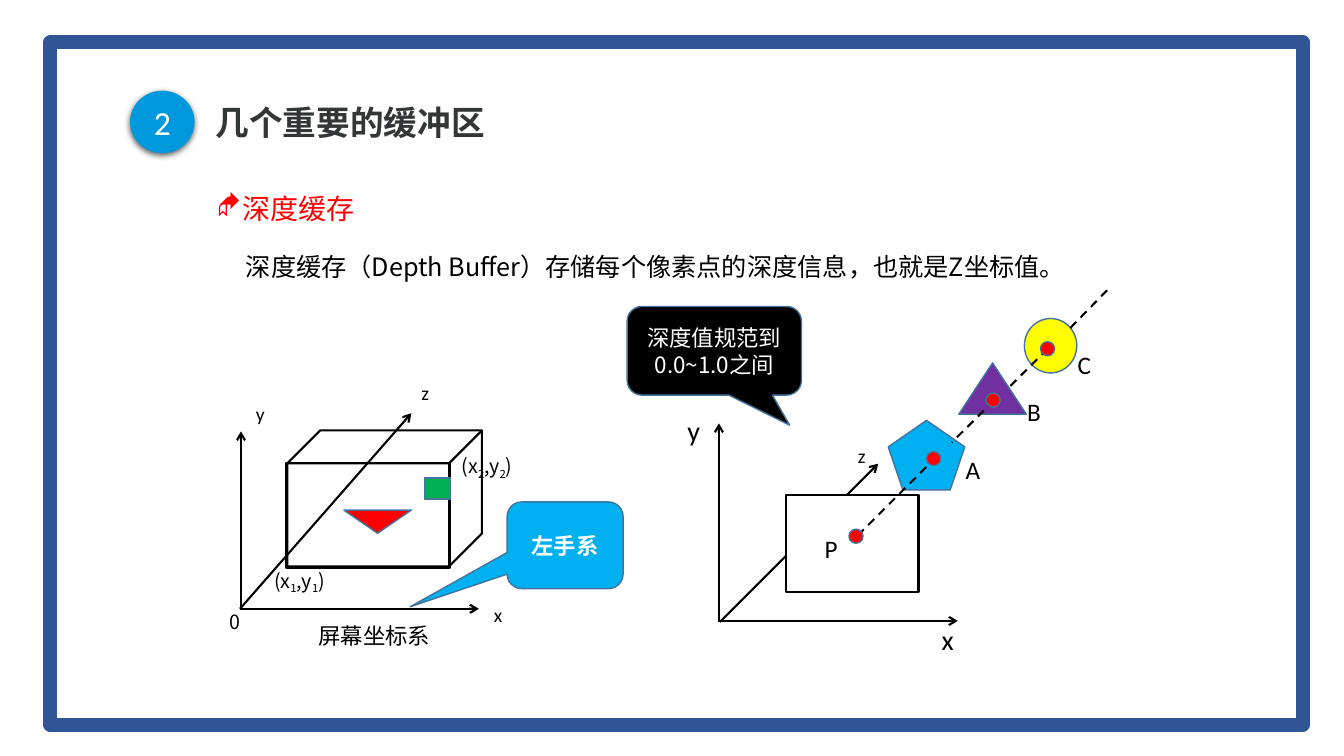
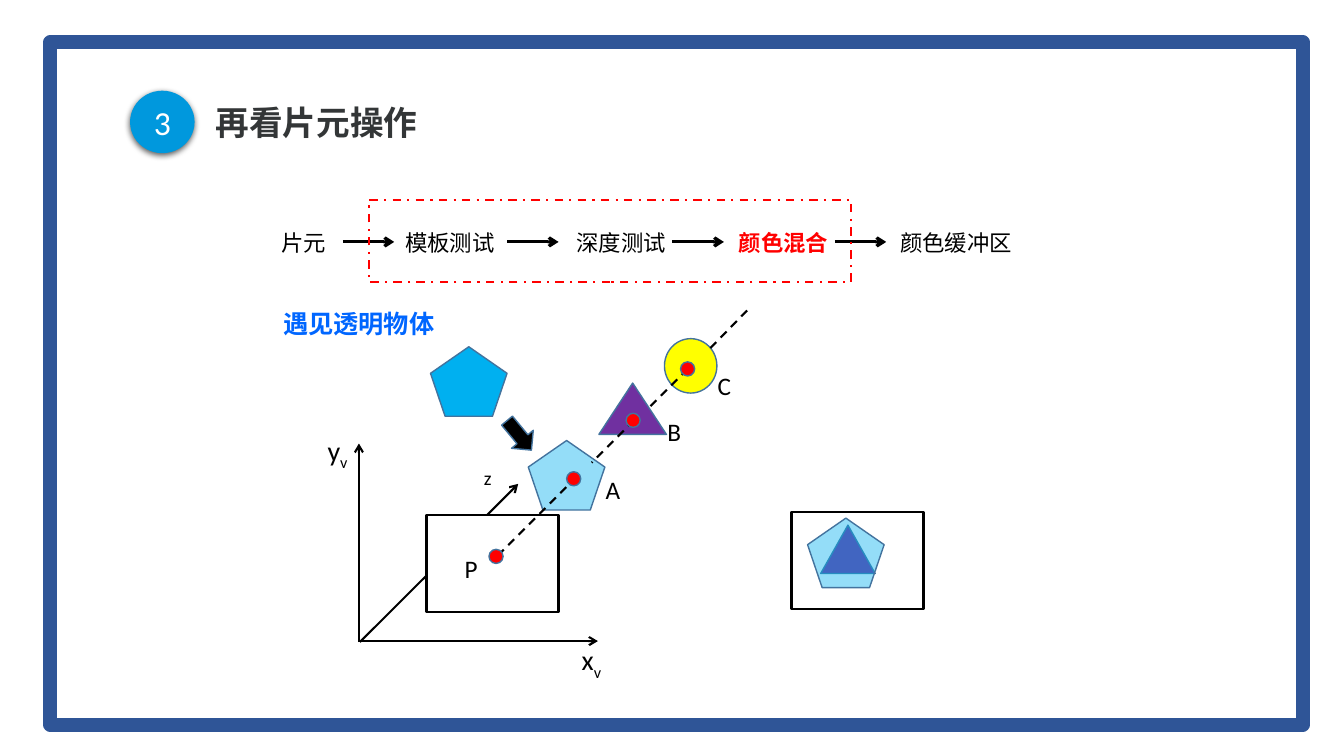
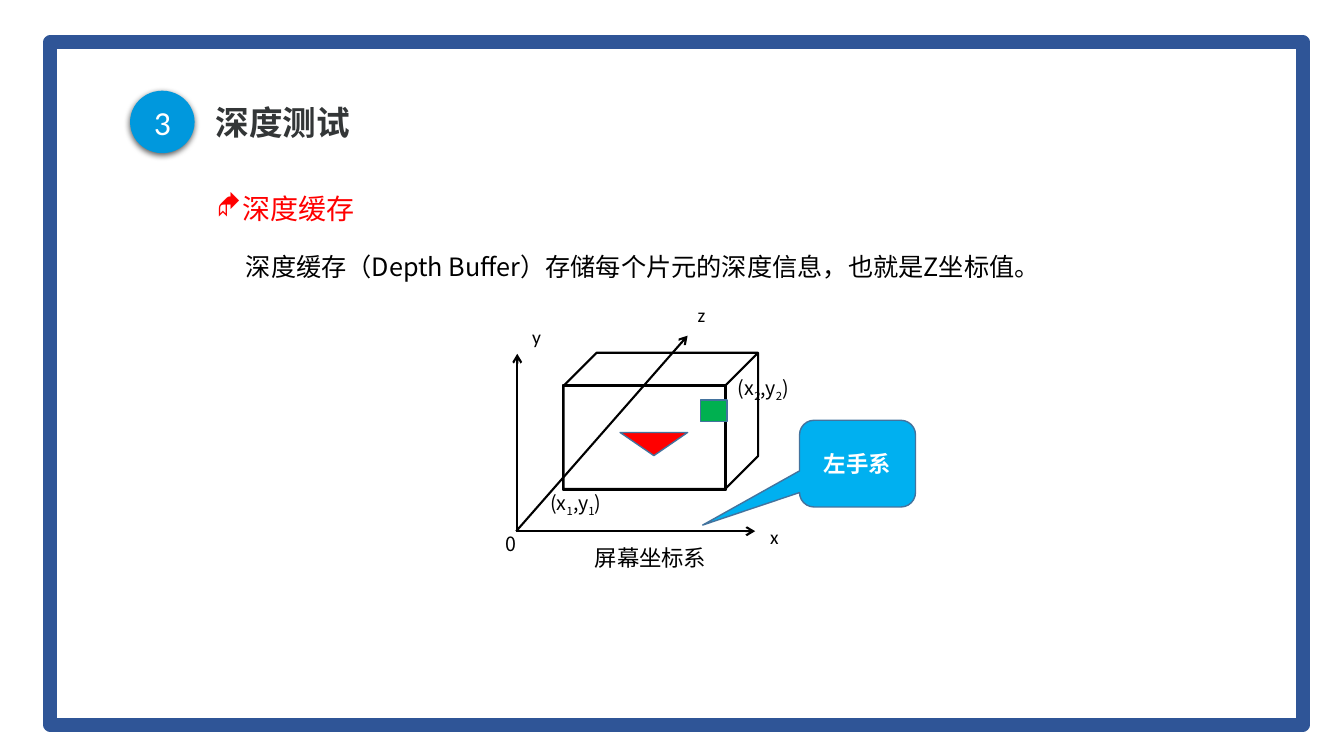
from dataclasses import dataclass
from typing import Any

from lxml import etree
from pptx import Presentation
from pptx.dml.color import RGBColor
from pptx.enum.dml import MSO_LINE
from pptx.enum.shapes import MSO_CONNECTOR, MSO_SHAPE
from pptx.enum.text import MSO_ANCHOR, MSO_AUTO_SIZE, PP_ALIGN
from pptx.oxml.ns import qn
from pptx.util import Inches, Pt

BLACK = RGBColor(0x00, 0x00, 0x00)
WHITE = RGBColor(0xFF, 0xFF, 0xFF)
RED = RGBColor(0xFF, 0x00, 0x00)
YELLOW = RGBColor(0xFF, 0xFF, 0x00)
PURPLE = RGBColor(0x70, 0x30, 0xA0)
GREEN = RGBColor(0x00, 0xB0, 0x50)
SKY = RGBColor(0x00, 0xB0, 0xF0)
BADGE_BLUE = RGBColor(0x00, 0x98, 0xDD)
NOTE_BLUE = RGBColor(0x00, 0x66, 0xFF)
FRAME_BLUE = RGBColor(0x2F, 0x55, 0x97)
OUTLINE = RGBColor(0x43, 0x73, 0x9E)
TITLE_GREY = RGBColor(0x33, 0x36, 0x37)

CHINESE = "Noto Sans CJK SC"
LATIN = "Calibri"

RECTANGLE = MSO_SHAPE.RECTANGLE
OVAL = MSO_SHAPE.OVAL
PENTAGON = MSO_SHAPE.REGULAR_PENTAGON
TRIANGLE = MSO_SHAPE.ISOSCELES_TRIANGLE
CUBE = MSO_SHAPE.CUBE
CALLOUT = MSO_SHAPE.ROUNDED_RECTANGULAR_CALLOUT
RIGHT_ARROW = MSO_SHAPE.RIGHT_ARROW
STRAIGHT = MSO_CONNECTOR.STRAIGHT
DASH = MSO_LINE.DASH
DASH_DOT = MSO_LINE.DASH_DOT
LEFT = PP_ALIGN.LEFT
CENTER = PP_ALIGN.CENTER
TOP = MSO_ANCHOR.TOP
MIDDLE = MSO_ANCHOR.MIDDLE
NO_FIT = MSO_AUTO_SIZE.NONE
GROW = MSO_AUTO_SIZE.SHAPE_TO_FIT_TEXT

TRANSLUCENT = 42


def add_element(parent, tag, **attributes):
    element = etree.SubElement(parent, qn(tag))
    for name, value in attributes.items():
        element.set(name, str(value))
    return element


def write_text(frame, text, size=16, font=CHINESE, color=BLACK, bold=False,
               align=LEFT, anchor=TOP, wrap=True, fit=NO_FIT, spacing=None, bullet=None):
    frame.word_wrap = wrap
    frame.auto_size = fit
    frame.vertical_anchor = anchor
    paragraph = frame.paragraphs[0]
    paragraph.alignment = align
    if spacing:
        paragraph.line_spacing = spacing
    if bullet:
        properties = paragraph._p.get_or_add_pPr()
        properties.set("marL", str(Inches(0.25)))
        properties.set("indent", str(-Inches(0.25)))
        add_element(properties, "a:buFont", typeface="Wingdings")
        add_element(properties, "a:buChar", char=bullet)
    plain, *marked = text.split("_")
    pieces = [(plain, False)]
    for part in marked:
        pieces += [(part[0], True), (part[1:], False)]
    for piece, subscript in pieces:
        if not piece:
            continue
        run = paragraph.add_run()
        run.text = piece
        run.font.size = Pt(size)
        run.font.name = font
        run.font.bold = bold
        run.font.color.rgb = color
        properties = run._r.get_or_add_rPr()
        add_element(properties, "a:ea", typeface=font)
        if subscript:
            properties.set("baseline", "-25000")


@dataclass
class Region:
    slide: Any
    left: float = 0
    top: float = 0

    def place(self, x, y):
        return Inches(self.left + x), Inches(self.top + y)

    def shape(self, kind, x, y, width, height, fill=None, line=OUTLINE,
              weight=1, dash=None, alpha=None, adjustments=()):
        shape = self.slide.shapes.add_shape(
            kind, *self.place(x, y), Inches(width), Inches(height))
        shape.shadow.inherit = False
        for index, value in enumerate(adjustments):
            shape.adjustments[index] = value
        if fill is None:
            shape.fill.background()
        else:
            shape.fill.solid()
            shape.fill.fore_color.rgb = fill
        if alpha:
            color = shape.element.spPr.find(qn("a:solidFill"))[0]
            add_element(color, "a:alpha", val=alpha * 1000)
        if line is None:
            shape.line.fill.background()
        else:
            shape.line.color.rgb = line
            shape.line.width = Pt(weight)
            if dash:
                shape.line.dash_style = dash
        return shape

    def line(self, start, end, weight=1.5, dash=None, arrow=False):
        connector = self.slide.shapes.add_connector(
            STRAIGHT, *self.place(*start), *self.place(*end))
        connector.line.color.rgb = BLACK
        connector.line.width = Pt(weight)
        if dash:
            connector.line.dash_style = dash
        properties = connector.element.spPr
        if arrow:
            add_element(properties.find(qn("a:ln")), "a:tailEnd", type="arrow")
        add_element(properties, "a:effectLst")

    def text(self, text, x, y, width, height, wrap=False, fit=GROW, **style):
        box = self.slide.shapes.add_textbox(
            *self.place(x, y), Inches(width), Inches(height))
        write_text(box.text_frame, text, wrap=wrap, fit=fit, **style)

    def callout(self, text, x, y, width, height, fill, adjustments, bold=False):
        shape = self.shape(CALLOUT, x, y, width, height, fill, adjustments=adjustments)
        write_text(shape.text_frame, text, color=WHITE, bold=bold,
                   align=CENTER, anchor=MIDDLE)


def add_frame_to_layout(layout, slide):
    region = Region(slide, 0.5, 0.42)
    panel = region.shape(RECTANGLE, 0.08, 0.08, 12.25, 6.62, WHITE, None, alpha=86)
    border = region.shape(RECTANGLE, 0, 0, 12.42, 6.77, line=FRAME_BLUE, weight=10)
    for shape in (panel, border):
        layout.shapes.element.append(shape.element)


def add_heading(slide, number, text):
    title = slide.shapes.title
    title.left, title.top = Inches(2.04), Inches(0.93)
    title.width, title.height = Inches(8.35), Inches(0.61)
    write_text(title.text_frame, text, size=24, color=TITLE_GREY, bold=True,
               anchor=MIDDLE, spacing=0.9)
    badge = Region(slide, 1.29, 0.9).shape(OVAL, 0, 0, 0.64, 0.62, BADGE_BLUE, None)
    write_text(badge.text_frame, number, size=24, font=LATIN, color=WHITE,
               align=CENTER, anchor=MIDDLE)
    effects = badge.element.spPr.find(qn("a:effectLst"))
    shadow = add_element(effects, "a:outerShdw", blurRad=Pt(4.5), dist=Pt(1.5),
                         dir=90 * 60000, algn="t", rotWithShape=0)
    color = add_element(shadow, "a:srgbClr", val=BLACK)
    add_element(color, "a:alpha", val=63000)


def add_buffer_definition(slide, unit):
    region = Region(slide, 2.05, 1.68)
    region.text("深度缓存", 0, 0, 10.43, 0.69, wrap=True, fit=NO_FIT,
                size=20, color=RED, spacing=1.5, bullet="◆")
    region.text(f"深度缓存（Depth Buffer）存储每个{unit}的深度信息，也就是Z坐标值。",
                0.29, 0.76, 8.97, 0.4, wrap=True, size=18)


def add_screen_coordinates(slide, left, top):
    region = Region(slide, left, top)
    region.line((0.2, 2.31), (1.9, 0.37), arrow=True)
    region.shape(CUBE, 0.67, 0.54, 1.93, 1.35, line=BLACK, weight=1.5,
                 adjustments=[0.242])
    region.shape(RECTANGLE, 0.66, 0.86, 1.62, 1.04, line=BLACK, weight=1.5)
    region.shape(TRIANGLE, 1.23, 1.33, 0.67, 0.23, RED).rotation = 180
    region.shape(RECTANGLE, 2.03, 1.01, 0.26, 0.21, GREEN)
    region.line((0.21, 2.32), (0.21, 0.55), arrow=True)
    region.line((0.21, 2.31), (2.57, 2.31), arrow=True)
    region.text("屏幕坐标系", 0.88, 2.39, 1.32, 0.37)
    for text, x, y in (("(x_1,y_1)", 0.44, 1.86), ("(x_2,y_2)", 2.3, 0.72),
                       ("0", 0, 2.27)):
        region.text(text, x, y, 1.1, 0.34, wrap=True, size=14)
    for text, x, y in (("x", 2.62, 2.2), ("y", 0.26, 0.21), ("z", 1.9, 0)):
        region.text(text, x, y, 0.29, 0.34, size=14, font=LATIN)


def add_left_hand_callout(slide, left, top):
    Region(slide, left, top).callout("左手系", 0, 0, 1.15, 0.86, SKY,
                                     [-1.336, 0.709, 0.167], bold=True)


def add_depth_scene(slide, left, top, x_label, y_label, label_width, z_label_at,
                    pentagon_alpha=None):
    region = Region(slide, left, top)
    region.line((0.42, 3.29), (1.99, 1.72), arrow=True)
    region.shape(RECTANGLE, 1.08, 2.03, 1.31, 0.96, WHITE, BLACK, 1.5)
    region.line((0.41, 3.29), (0.41, 1.32), arrow=True)
    region.line((0.41, 3.28), (2.78, 3.28), arrow=True)
    region.text(y_label, 0, 1.17, label_width, 0.44, size=20, font=LATIN)
    region.text(x_label, 2.52, 3.25, label_width, 0.44, size=20, font=LATIN)
    region.text("z", *z_label_at, 0.28, 0.34, size=14, font=LATIN)
    region.shape(PENTAGON, 2.09, 1.29, 0.76, 0.69, SKY, alpha=pentagon_alpha)
    region.shape(TRIANGLE, 2.79, 0.72, 0.67, 0.51, PURPLE)
    region.shape(OVAL, 3.44, 0.28, 0.52, 0.54, YELLOW)
    for start, end in (((2.57, 1.65), (1.76, 2.46)), ((3.67, 0.58), (3.28, 0.97)),
                       ((3.14, 1.09), (2.72, 1.51)), ((4.26, 0), (3.88, 0.39))):
        region.line(start, end, dash=DASH)
    for x, y in ((1.7, 2.37), (2.47, 1.6), (3.06, 1.02), (3.6, 0.51)):
        region.shape(OVAL, x, y, 0.14, 0.14, RED)
    for text, x, y in (("A", 2.76, 1.58), ("B", 3.37, 1), ("C", 3.87, 0.54),
                       ("P", 1.36, 2.36)):
        region.text(text, x, y, 0.34, 0.4, size=18, font=LATIN)


def add_fragment_flow(slide, left, top):
    region = Region(slide, left, top)
    for text, x, width in (("片元", 0, 0.65), ("模板测试", 1.23, 1.1),
                           ("深度测试", 2.93, 1.1), ("颜色混合", 4.54, 1.1),
                           ("颜色缓冲区", 6.14, 1.66)):
        highlighted = text == "颜色混合"
        region.text(text, x, 0.24, width, 0.37, bold=highlighted,
                    color=RED if highlighted else BLACK)
    for x in (0.71, 2.34, 3.98, 5.59):
        region.line((x, 0.42), (x + 0.51, 0.42), weight=2.25, arrow=True)
    region.shape(RECTANGLE, 0.97, 0, 4.78, 0.82, line=RED, weight=1.5, dash=DASH_DOT)


def add_transparent_source(slide, left, top):
    region = Region(slide, left, top)
    region.text("遇见透明物体", 0, 0, 2.36, 0.4, wrap=True, size=18,
                color=NOTE_BLUE, bold=True)
    region.shape(PENTAGON, 1.56, 0.43, 0.76, 0.69, SKY)
    region.shape(RIGHT_ARROW, 2.25, 1.17, 0.38, 0.28, BLACK).rotation = 50.4


def add_blended_view(slide, left, top):
    region = Region(slide, left, top)
    region.shape(RECTANGLE, 0, 0, 1.31, 0.96, WHITE, BLACK, 1.5)
    region.shape(TRIANGLE, 0.29, 0.13, 0.54, 0.48, PURPLE)
    region.shape(PENTAGON, 0.16, 0.06, 0.76, 0.69, SKY, alpha=TRANSLUCENT)


def build_buffer_slide(slide):
    add_heading(slide, "2", "几个重要的缓冲区")
    add_buffer_definition(slide, "像素点")
    add_depth_scene(slide, 6.72, 2.88, "x", "y", 0.33, (1.69, 1.47))
    Region(slide, 6.22, 3.04).callout("深度值规范到0.0~1.0之间", 0, 0, 1.73, 0.88,
                                      BLACK, [0.432, 0.839, 0.167])
    add_screen_coordinates(slide, 2.18, 3.73)
    add_left_hand_callout(slide, 5.03, 4.98)


def build_fragment_slide(slide):
    add_heading(slide, "3", "再看片元操作")
    add_fragment_flow(slide, 2.69, 1.98)
    add_transparent_source(slide, 2.71, 3.01)
    add_depth_scene(slide, 3.15, 3.08, "x_v", "y_v", 0.41, (1.55, 1.49), TRANSLUCENT)
    add_blended_view(slide, 7.85, 5.08)


def build_depth_test_slide(slide):
    add_heading(slide, "3", "深度测试")
    add_buffer_definition(slide, "片元")
    add_screen_coordinates(slide, 4.92, 2.96)
    add_left_hand_callout(slide, 7.93, 4.17)


def main():
    presentation = Presentation()
    presentation.slide_width = Inches(13.33)
    presentation.slide_height = Inches(7.5)
    layout = presentation.slide_layouts[5]
    builders = (build_buffer_slide, build_fragment_slide, build_depth_test_slide)
    slides = [presentation.slides.add_slide(layout) for _ in builders]
    add_frame_to_layout(layout, slides[0])
    for build, slide in zip(builders, slides):
        build(slide)
    presentation.save("out.pptx")


if __name__ == "__main__":
    main()
